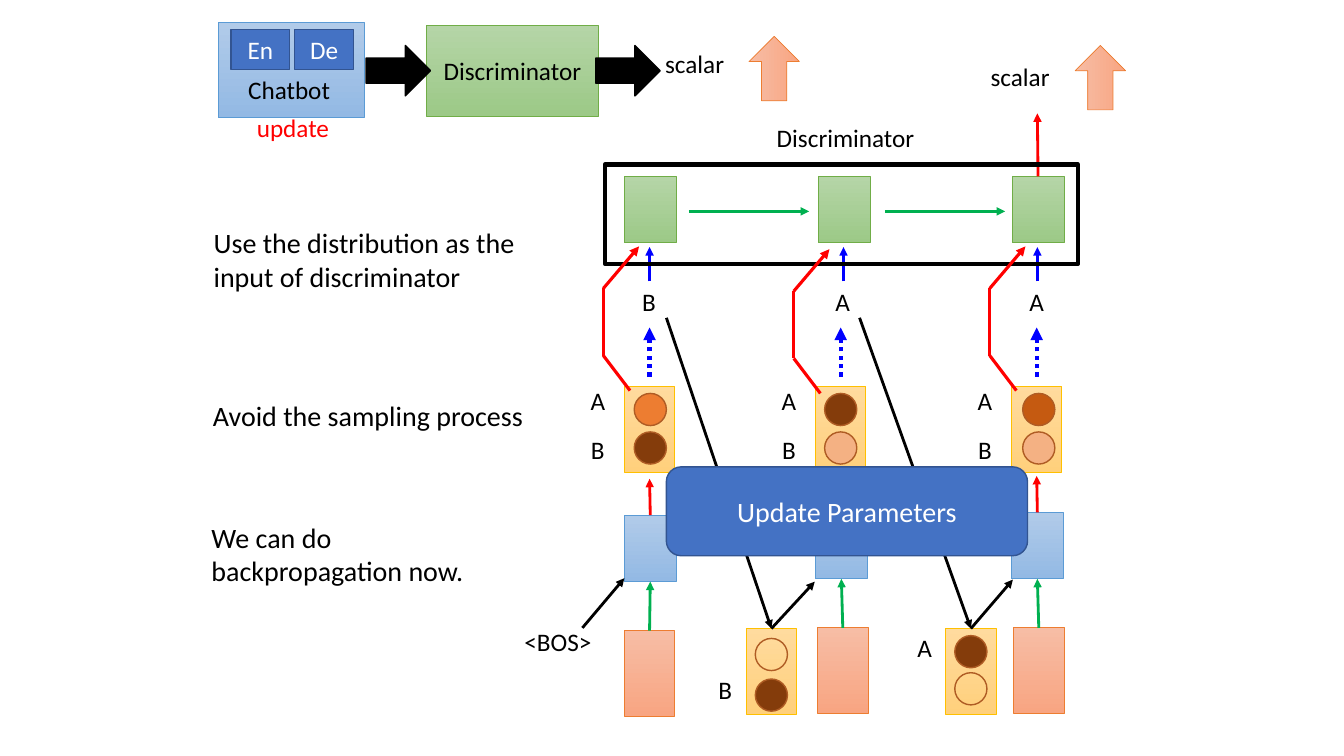
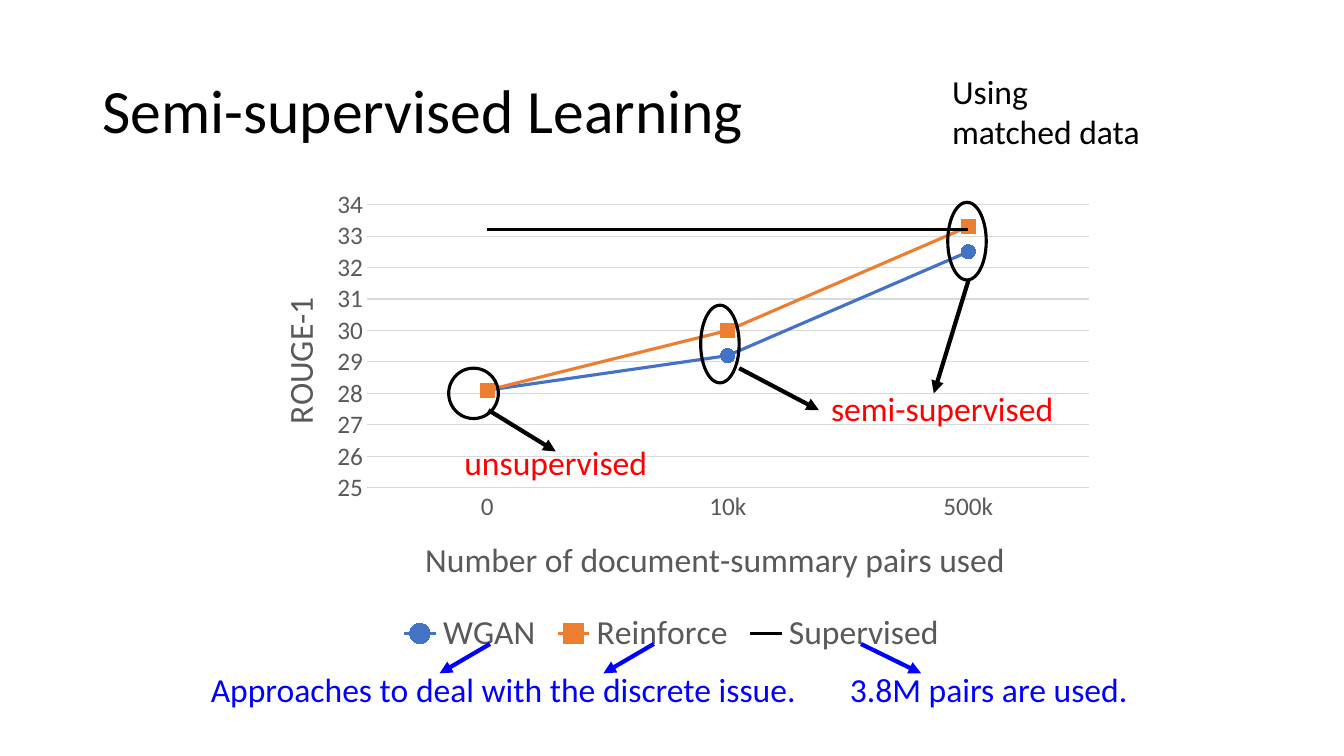
"""Builds two slides on text generation with a discriminator and on semi-supervised results."""
import pptx
import pptx.chart.data
import pptx.dml.color
import pptx.enum.chart
import pptx.enum.dml
import pptx.enum.shapes
import pptx.enum.text
import pptx.oxml.ns
import pptx.util

Pt = pptx.util.Pt
qn = pptx.oxml.ns.qn
SHAPE = pptx.enum.shapes.MSO_SHAPE
ALIGN = pptx.enum.text.PP_ALIGN
ANCHOR = pptx.enum.text.MSO_ANCHOR
TOP, BOTTOM = 0, 2

COLORS = {
    "black": "000000", "white": "FFFFFF", "red": "FF0000", "green": "00B050", "blue": "0000FF",
    "gray": "595959", "grid": "D9D9D9", "royal": "4472C4", "royal_edge": "325491",
    "orange": "ED7D31", "brown": "843C0B", "rust": "C55A11", "peach": "F4B183", "ring": "AF5C24",
    "sky_top": "B1CBE9", "sky_foot": "93B9E4", "sky_edge": "5B9BD5",
    "leaf_top": "B5D5A7", "leaf_foot": "9CC987", "leaf_edge": "70AD47",
    "salmon_top": "F7BDA5", "salmon_foot": "F8A582", "salmon_edge": "ED7D31",
    "amber_top": "FFDB9E", "amber_foot": "FFD07C", "amber_edge": "FFC000",
}


def rgb(color):
    return pptx.dml.color.RGBColor.from_string(COLORS[color])


def apply(target, values):
    for name, value in values.items():
        setattr(target, name, value)


class Deck:
    font = "Calibri"

    def __init__(self):
        self.show = pptx.Presentation()
        apply(self.show, {"slide_width": Pt(960), "slide_height": Pt(540)})
        self.slide = None

    def new_slide(self, layout):
        self.slide = self.show.slides.add_slide(self.show.slide_layouts[layout])

    def style(self, font, size, color):
        apply(font, {"name": self.font, "size": Pt(size), "bold": False})
        font.color.rgb = rgb(color)

    def put_run(self, frame, content, size, color, align):
        paragraph = frame.paragraphs[0]
        paragraph.alignment = align
        run = paragraph.add_run()
        run.text = content
        self.style(run.font, size, color)
        return paragraph

    def title(self, content, at):
        heading = self.slide.shapes.title
        apply(heading, dict(zip(("left", "top", "width", "height"), map(Pt, at))))
        heading.text_frame.vertical_anchor = ANCHOR.MIDDLE
        self.put_run(heading.text_frame, content, 44, "black", ALIGN.LEFT).line_spacing = 0.9

    def text(self, at, content, size=18, color="black", align=ALIGN.CENTER, wrap=True):
        frame = self.slide.shapes.add_textbox(*map(Pt, at)).text_frame
        apply(frame, {"word_wrap": wrap, "auto_size": pptx.enum.text.MSO_AUTO_SIZE.SHAPE_TO_FIT_TEXT})
        self.put_run(frame, content, size, color, align)

    def block(self, at, fill=None, edge=None, weight=0.5, kind=SHAPE.RECTANGLE, label=None,
              size=18, ink="black", turn=0):
        block = self.slide.shapes.add_shape(kind, *map(Pt, at))
        block.shadow.inherit = False
        block.rotation = turn
        if fill is None:
            block.fill.background()
        elif fill in COLORS:
            block.fill.solid()
            block.fill.fore_color.rgb = rgb(fill)
        else:
            block.fill.gradient()
            block.fill.gradient_angle = 270
            for stop, end in zip(block.fill.gradient_stops, ("_top", "_foot")):
                stop.color.rgb = rgb(fill + end)
        block.line.color.rgb = rgb(edge or fill + "_edge")
        block.line.width = Pt(weight)
        if label:
            block.text_frame.vertical_anchor = ANCHOR.MIDDLE
            self.put_run(block.text_frame, label, size, ink, ALIGN.CENTER)
        return block

    def circle(self, left, top, fill=None):
        self.block((left, top, 23, 23), fill, "ring", 1, SHAPE.OVAL)

    def line(self, start, end, color="black", weight=2, dash=None, head=True, joins=(None, None)):
        line = self.slide.shapes.add_connector(
            pptx.enum.shapes.MSO_CONNECTOR.STRAIGHT, *map(Pt, (*start, *end)))
        line.line.color.rgb = rgb(color)
        apply(line.line, {"width": Pt(weight), "dash_style": dash})
        properties = line._element.spPr
        if head:
            outline = properties.find(qn("a:ln"))
            outline.append(outline.makeelement(qn("a:tailEnd"), {"type": "triangle"}))
        properties.append(properties.makeelement(qn("a:effectLst"), {}))
        for connect, join in zip((line.begin_connect, line.end_connect), joins):
            if join:
                connect(*join)

    def place(self, owner, position, **fractions):
        old = owner.find(qn("c:layout"))
        if old is not None:
            owner.remove(old)
        layout = owner.makeelement(qn("c:layout"), {})
        owner.insert(position, layout)
        manual = layout.makeelement(qn("c:manualLayout"), {})
        layout.append(manual)
        values = {"xMode": "edge", "yMode": "edge", **fractions}
        if "w" in fractions:
            values = {"layoutTarget": "inner", **values}
        for name, value in values.items():
            manual.append(manual.makeelement(qn("c:" + name), {"val": str(value)}))

    def axis(self, axis, name, line, turn, **spot):
        axis.major_tick_mark = axis.minor_tick_mark = pptx.enum.chart.XL_TICK_MARK.NONE
        self.style(axis.tick_labels.font, 18, "gray")
        if line:
            axis.format.line.color.rgb = rgb(line)
            axis.format.line.width = Pt(0.75)
        else:
            axis.format.line.fill.background()
        frame = axis.axis_title.text_frame
        self.put_run(frame, name, 24, "gray", ALIGN.CENTER)
        frame._txBody.bodyPr.set("rot", str(turn * 60000))
        frame._txBody.bodyPr.set("vert", "horz")
        self.place(axis.axis_title._element, 1, **spot)

    def line_chart(self, at, categories, series):
        data = pptx.chart.data.CategoryChartData()
        data.categories = categories
        for name, values, *_ in series:
            data.add_series(name, values)
        chart = self.slide.shapes.add_chart(
            pptx.enum.chart.XL_CHART_TYPE.LINE_MARKERS, *map(Pt, at), data).chart
        apply(chart, {"has_title": False, "has_legend": True})
        self.style(chart.font, 10, "black")
        apply(chart.legend, {"position": pptx.enum.chart.XL_LEGEND_POSITION.BOTTOM,
                             "include_in_layout": False})
        self.style(chart.legend.font, 24, "gray")
        self.axis(chart.category_axis, "Number of document-summary pairs used", "grid", 0,
                  x=0.21, y=0.73)
        scale = chart.value_axis
        apply(scale, {"minimum_scale": 25, "maximum_scale": 34, "major_unit": 1,
                      "has_major_gridlines": True})
        self.axis(scale, "ROUGE-1", None, -90, x=0.04, y=0.23)
        scale.major_gridlines.format.line.color.rgb = rgb("grid")
        scale.major_gridlines.format.line.width = Pt(0.75)
        self.place(chart._chartSpace.chart.plotArea, 0, x=0.15, y=0.05, w=0.83, h=0.59)
        for curve, (_, _, color, marker) in zip(chart.plots[0].series, series):
            curve.smooth = False
            curve.format.line.color.rgb = rgb(color)
            curve.format.line.width = Pt(2.25)
            curve.marker.style = marker
            if marker != pptx.enum.chart.XL_MARKER_STYLE.NONE:
                curve.marker.size = 10
                curve.marker.format.fill.solid()
                curve.marker.format.fill.fore_color.rgb = rgb(color)
                curve.marker.format.line.color.rgb = rgb(color)
        chart.plots[0].vary_by_categories = False


def time_step(deck, left, drop, token, colors, sampled_arrow, judge_left, input_left, dot_left):
    center = left + 18
    judge = deck.block((judge_left, 126, 37, 47.5), "leaf")
    deck.text((judge_left - 13, 201, 61, 29), token)
    deck.line((judge_left + 18, 201), (judge_left + 18, 176.5), "blue")
    deck.line((center, 269), (center, 234), "blue", 3, pptx.enum.dml.MSO_LINE.ROUND_DOT)

    deck.block((left, 276, 36, 61.5), "amber")
    for name, label_top, dot_top, color in zip("AB", (272, 307), (281, 308.5), colors):
        deck.text((left - 38, label_top, 38, 29), name)
        deck.circle(dot_left, dot_top, color)

    generator = deck.block((left, 366 + drop, 37, 47.5), "sky")
    source = deck.block((input_left, 448.5 + drop, 36, 61), "salmon")
    deck.line((center, 448), (center, 415), "green",
              joins=((source, TOP), (generator, BOTTOM)))
    if sampled_arrow:
        deck.line((center, 366), (center, 340 + drop), "red", joins=((generator, TOP), None))
    return judge


def detour(deck, left, drop):
    bends = [(450, 279), (431, 254), (431, 206), (456.5, 176)]
    points = [(x + left, y + drop) for x, y in bends]
    for number, (start, end) in enumerate(zip(points, points[1:])):
        deck.line(start, end, "red", 2.25, head=number == 2)


def adversarial_slide(deck):
    deck.new_slide(6)
    steps = [
        (446, 2, "B", ("orange", "brown"), True, 446, 446, 453),
        (582.5, 0, "A", ("brown", "peach"), False, 584.5, 584, 589),
        (722.5, 0, "A", ("rust", "peach"), True, 723, 724, 730.5),
    ]
    judges = [time_step(deck, *step) for step in steps]
    for start, end in ((492, 578), (632, 718)):
        deck.line((start, 151), (end, 151), "green")
    deck.line((741, 126), (741, 81), "red", joins=((judges[-1], TOP), None))

    feeds = [
        (533, "B", 478, ((456, None), (485, "brown")), 476, (582, 415.5)),
        (675.5, "A", 448, ((454, "brown"), (480.5, None)), 614, (723.5, 414)),
    ]
    for left, token, label_top, dots, sampled, target in feeds:
        fed = deck.block((left, 449, 36, 61), "amber")
        for top, color in dots:
            deck.circle(left + 6.5, top, color)
        deck.text((left - 31, label_top, 32, 29), token)
        deck.line((sampled, 227), (left + 18, 449), joins=(None, (fed, TOP)))
        deck.line((left + 18, 449), target, joins=((fed, TOP), None))
    deck.text((355, 443.5, 87, 29), "<BOS>")
    deck.line((416, 448.5), (446, 413))

    deck.text((523.5, 83.5, 161, 29), "Discriminator")
    deck.block((432, 117.5, 338, 71), None, "black", 3)

    deck.block((304.5, 18, 123, 65), "leaf", label="Discriminator")
    for left in (261.5, 425.5):
        deck.block((left, 32.5, 46, 36), "black", "black", 1, SHAPE.RIGHT_ARROW)
    for left, top, arrow_left, arrow_top in ((468, 31, 530, 31), (700.5, 40.5, 763, 37.5)):
        deck.text((left, top, 78, 29), "scalar", align=ALIGN.LEFT)
        deck.block((arrow_left, arrow_top, 46, 36), "salmon", kind=SHAPE.RIGHT_ARROW, turn=270)
    deck.block((156, 16, 104, 68), "sky")
    deck.text((170, 49.5, 73, 29), "Chatbot", wrap=False)
    for left, name in ((165, "En"), (210.5, "De")):
        deck.block((left, 21, 42, 28.5), "royal", weight=1, label=name, ink="white")
    deck.text((153.5, 76.5, 111.5, 29), "update", color="red")

    deck.block((476, 333.5, 258, 63.5), "royal", weight=1, kind=SHAPE.ROUNDED_RECTANGLE,
               label="Update Parameters", size=20, ink="white")
    for left, drop in ((0, 0), (136, 2), (276, 0)):
        detour(deck, left, drop)
    for at, remark in (
        ((145.5, 157.5, 265, 56), "Use the distribution as the input of discriminator"),
        ((145, 281, 239, 31.5), "Avoid the sampling process"),
        ((144, 368, 232.5, 56), "We can do backpropagation now."),
    ):
        deck.text(at, remark, 20, align=ALIGN.LEFT)


def results_slide(deck):
    deck.new_slide(5)
    deck.title("Semi-supervised Learning", (66, 29, 828, 104))
    markers = pptx.enum.chart.XL_MARKER_STYLE
    deck.line_chart((169, 129, 621, 343), ("0", "10k", "500k"), [
        ("WGAN", (28.1, 29.2, 32.5), "royal", markers.CIRCLE),
        ("Reinforce", (28.1, 30, 33.3), "orange", markers.SQUARE),
        ("Supervised", (33.2, 33.2, 33.2), "black", markers.NONE),
    ])
    for at, remark, color, align in (
        ((673, 47, 152, 65.5), "Using matched data", "black", ALIGN.LEFT),
        ((600, 474.5, 227, 36), "3.8M pairs are used.", "blue", ALIGN.LEFT),
        ((143.5, 474.5, 441, 36), "Approaches to deal with the discrete issue.", "blue", ALIGN.LEFT),
        ((320.5, 312, 153, 36), "unsupervised", "red", ALIGN.CENTER),
        ((577, 273.5, 192, 36), "semi-supervised", "red", ALIGN.CENTER),
    ):
        deck.text(at, remark, 24, color, align)
    for at in ((320.5, 263, 35.5, 36), (500.5, 218, 27.5, 55.5), (677, 144.5, 27.5, 55.5)):
        deck.block(at, None, "black", 2.25, SHAPE.OVAL)
    for start, end, color in (
        ((615, 460), (658, 481), "blue"),
        ((467, 460), (431, 481), "blue"),
        ((350, 460), (314, 481), "blue"),
        ((349, 293), (397, 322.5), "black"),
        ((528, 263), (585, 293), "black"),
        ((692, 199.5), (667, 281), "black"),
    ):
        deck.line(start, end, color, 3)


def main():
    deck = Deck()
    adversarial_slide(deck)
    results_slide(deck)
    deck.show.save("out.pptx")


if __name__ == "__main__":
    main()
